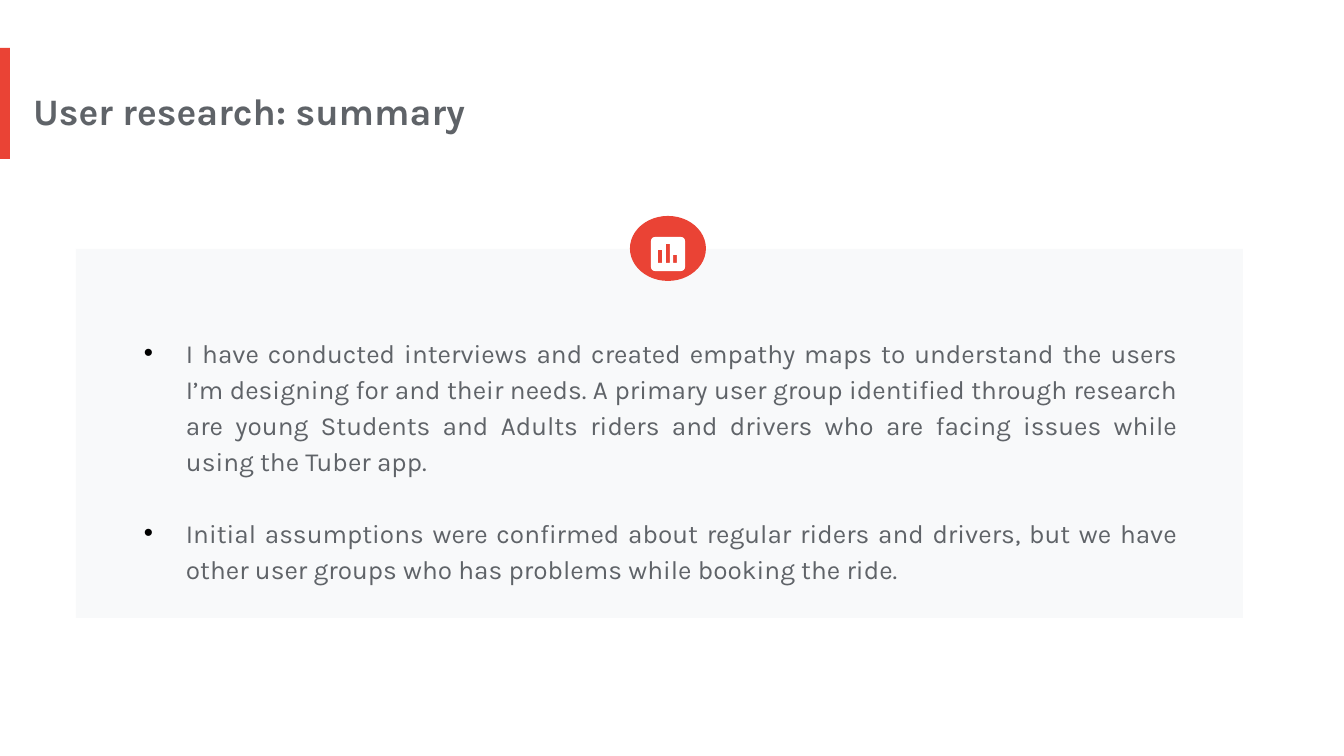
from dataclasses import dataclass
from math import cos, radians, sin

from lxml.etree import SubElement
from pptx import Presentation
from pptx.dml.color import RGBColor
from pptx.enum.shapes import MSO_SHAPE
from pptx.enum.text import MSO_ANCHOR, MSO_AUTO_SIZE, PP_ALIGN
from pptx.oxml.ns import qn
from pptx.util import Emu, Pt

EMU_PER_PX = 914400 / 134.4


@dataclass(frozen=True)
class Theme:
    accent: str = "EA4335"
    panel: str = "F8F9FA"
    text: str = "5F6368"
    bullet: str = "000000"
    white: str = "FFFFFF"
    font: str = "Karla"
    title_size: int = 20
    body_size: int = 14


THEME = Theme()

FINDINGS = [
    "I have conducted interviews and created empathy maps to understand the users "
    "I’m designing for and their needs. A primary user group identified through "
    "research are young Students and Adults riders and drivers who are facing "
    "issues while using the Tuber app.",
    "Initial assumptions were confirmed about regular riders and drivers, but we "
    "have other user groups who has problems while booking the ride.",
]


def px(length):
    return Emu(round(length * EMU_PER_PX))


def paint(shape, color):
    shape.shadow.inherit = False
    shape.fill.solid()
    shape.fill.fore_color.rgb = RGBColor.from_string(color)
    shape.line.fill.background()


def add_block(page, kind, left, top, width, height, color):
    shape = page.shapes.add_shape(kind, px(left), px(top), px(width), px(height))
    paint(shape, color)


def prepare_frame(box):
    frame = box.text_frame
    frame.word_wrap = True
    frame.auto_size = MSO_AUTO_SIZE.NONE
    frame.vertical_anchor = MSO_ANCHOR.TOP
    frame.margin_left = 0
    frame.margin_top = frame.margin_right = frame.margin_bottom = Pt(7.2)
    return frame


def write(para, text, *, size, bold=False, align=PP_ALIGN.LEFT):
    para.alignment = align
    span = para.add_run()
    span.text = text
    span.font.name = THEME.font
    span.font.size = Pt(size)
    span.font.bold = bold
    span.font.color.rgb = RGBColor.from_string(THEME.text)


def add_bullet(para, indent):
    properties = para._p.get_or_add_pPr()
    properties.set("marL", str(px(indent)))
    properties.set("indent", str(-px(indent)))
    color = SubElement(properties, qn("a:buClr"))
    SubElement(color, qn("a:srgbClr"), val=THEME.bullet)
    SubElement(properties, qn("a:buFont"), typeface="Arial")
    SubElement(properties, qn("a:buChar"), char="•")


def set_title(page, text, left, top, width, height):
    title = page.shapes.title
    title.left, title.top = px(left), px(top)
    title.width, title.height = px(width), px(height)
    para = prepare_frame(title).paragraphs[0]
    write(para, text, size=THEME.title_size, bold=True)


def add_bullet_list(page, texts, left, top, width, height):
    box = page.shapes.add_textbox(px(left), px(top), px(width), px(height))
    frame = prepare_frame(box)
    for index, text in enumerate(texts):
        para = frame.add_paragraph() if index else frame.paragraphs[0]
        add_bullet(para, 42)
        para.line_spacing = 1.15
        if index:
            para.space_before = px(36)
        write(para, text, size=THEME.body_size, align=PP_ALIGN.JUSTIFY)


def rounded_square(left, top, side, radius):
    near, far = radius, side - radius
    centers = [(far, far), (near, far), (near, near), (far, near)]
    return [
        (left + x + radius * cos(radians(angle)), top + y + radius * sin(radians(angle)))
        for quarter, (x, y) in enumerate(centers)
        for angle in range(90 * quarter, 90 * quarter + 91, 15)
    ]


def add_chart_icon(page, left, top, side):
    contours = [rounded_square(left, top, side, 4)]
    base = top + 26
    for bar_left, bar_height in ((7, 13), (15, 19), (22, 8)):
        x, y = left + bar_left, base - bar_height
        contours.append([(x, y), (x, base), (x + 4, base), (x + 4, y)])
    outlines = [[(px(x), px(y)) for x, y in contour] for contour in contours]
    builder = page.shapes.build_freeform(*outlines[0][0], scale=1.0)
    for index, (start, *rest) in enumerate(outlines):
        if index:
            builder.move_to(*start)
        builder.add_line_segments(rest, close=True)
    paint(builder.convert_to_shape(), THEME.white)


def main():
    deck = Presentation()
    deck.slide_width, deck.slide_height = px(1344), px(756)
    page = deck.slides.add_slide(deck.slide_layouts[5])
    add_block(page, MSO_SHAPE.RECTANGLE, 0, 48, 10, 111, THEME.accent)
    add_block(page, MSO_SHAPE.RECTANGLE, 76, 249, 1167, 369, THEME.panel)
    set_title(page, "User research: summary", 33, 75, 905, 73)
    add_bullet_list(page, FINDINGS, 144, 319, 1048, 282)
    add_block(page, MSO_SHAPE.OVAL, 630, 216, 76, 65, THEME.accent)
    add_chart_icon(page, 651, 237, 34)
    deck.save("out.pptx")


if __name__ == "__main__":
    main()
